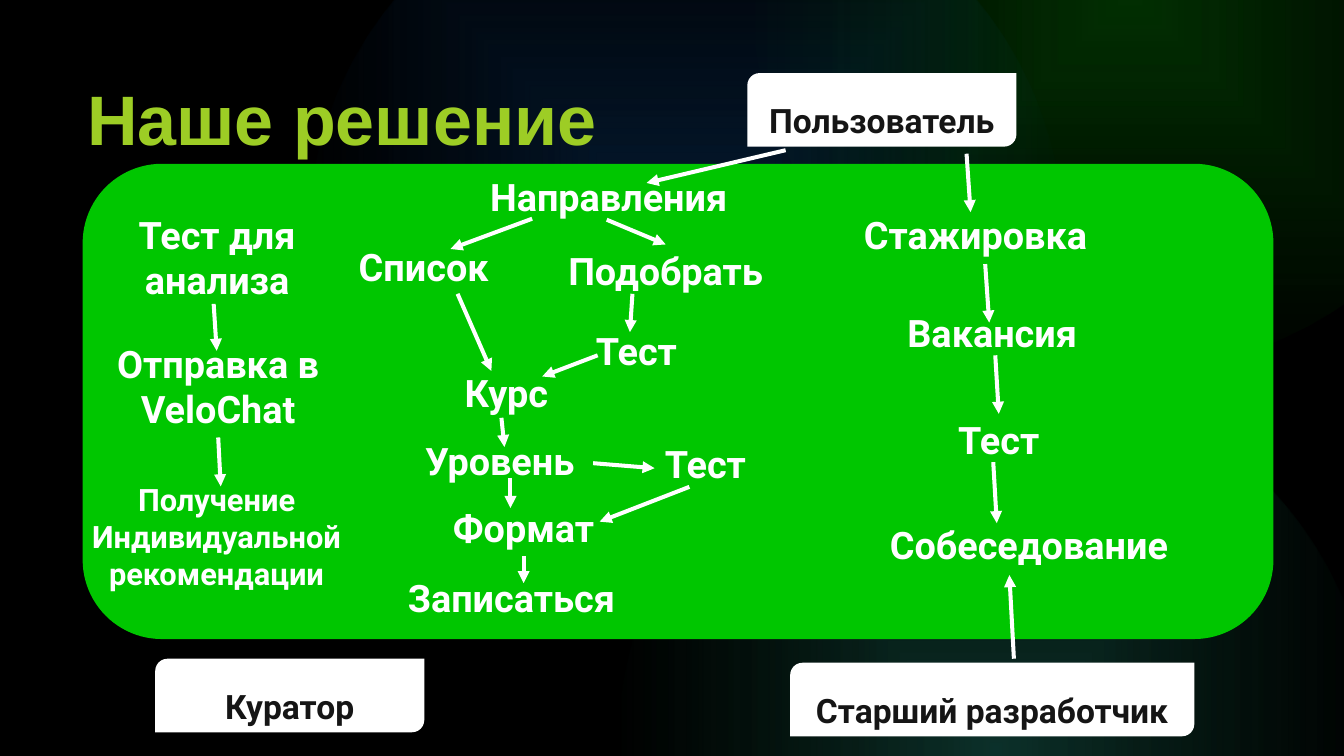
import pptx
import pptx.util
import pptx.dml.color
import pptx.enum.shapes
import pptx.enum.text
import pptx.oxml
import pptx.oxml.ns

Inches, Pt = pptx.util.Inches, pptx.util.Pt
SHAPE = pptx.enum.shapes.MSO_SHAPE
ANCHOR = pptx.enum.text.MSO_ANCHOR
ALIGN = pptx.enum.text.PP_ALIGN
NS = pptx.oxml.ns.nsdecls("a")

# Content
TITLE = "Наше решение"
GLOWS = [  # left, top, inner colour, outer colour
    (14.91, -7.64, "08BC08", "08BC08"),
    (12.25, 7.36, "31C2A7", "209F6D"),
    (6.1, -2.7, "1164C0", "1164C0"),
]
ROLES = [  # text, left, top, width
    ("Пользователь", 14.83, 1.45, 5.34),
    ("Куратор", 3.08, 13.07, 5.34),
    ("Старший разработчик", 15.68, 13.15, 8.02),
]
STEPS = [  # text, centre x, top, width, height, size
    ("Тест для анализа", 4.31, 4.13, 5, 1.93, 54),
    ("Отправка в VeloChat", 4.33, 6.69, 5, 1.93, 54),
    ("Получение\nИндивидуальной\nрекомендации", 4.3, 9.47, 6.79, 2.33, 44),
] + [(text, x, y, w, 1.02, 54) for text, x, y, w in [
    ("Направления", 12.08, 3.38, 5.71),
    ("Список", 8.41, 4.78, 5),
    ("Подобрать", 13.21, 4.85, 5),
    ("Тест", 12.63, 6.45, 5),
    ("Курс", 10.05, 7.27, 5),
    ("Уровень", 9.92, 8.62, 5),
    ("Тест", 14, 8.68, 5),
    ("Формат", 10.39, 9.96, 5),
    ("Записаться", 10.15, 11.34, 5),
    ("Стажировка", 19.36, 4.14, 5),
    ("Вакансия", 19.69, 6.08, 5),
    ("Тест", 19.82, 8.21, 5),
    ("Собеседование", 20.42, 10.3, 6.56),
]]
ARROWS = [  # from x, y, to x, y
    # analysis
    (4.24, 6.03, 4.3, 6.96), (4.33, 8.68, 4.38, 9.65),
    # directions and courses
    (15.59, 2.98, 12.83, 3.63), (10.56, 4.34, 8.94, 4.94),
    (12.04, 4.36, 13.21, 4.85), (9.08, 5.83, 9.75, 7.36),
    (12.55, 5.83, 12.5, 6.59), (11.86, 7.05, 10.76, 7.47),
    (9.95, 8.29, 10.01, 8.87), (11.77, 9.19, 12.99, 9.29),
    (10.13, 9.48, 10.13, 10.08), (13.68, 9.66, 11.9, 10.35),
    (10.39, 11.03, 10.39, 11.57),
    # internship
    (19.18, 3.05, 19.26, 4.21), (19.55, 5.24, 19.63, 6.4),
    (19.75, 7.05, 19.82, 8.21), (19.71, 9.17, 19.78, 10.38),
    (20.12, 13.07, 20.03, 11.41),
]


def rgb(value):
    return pptx.dml.color.RGBColor.from_string(value)


def write(sp, text, size=54, color="FFFFFF", font="Roboto", align=ALIGN.CENTER,
          anchor=ANCHOR.MIDDLE, spacing=1.0):
    tf = sp.text_frame
    tf.word_wrap = True
    tf.auto_size = pptx.enum.text.MSO_AUTO_SIZE.NONE
    tf.vertical_anchor = anchor
    tf.margin_left = tf.margin_right = tf.margin_top = tf.margin_bottom = Inches(0.06)
    for i, line in enumerate(text.split("\n")):
        p = tf.add_paragraph() if i else tf.paragraphs[0]
        p.alignment, p.line_spacing = align, spacing
        p.space_before = Pt(0)
        r = p.add_run()
        r.text = line
        r.font.name, r.font.size, r.font.bold = font, Pt(size), True
        r.font.color.rgb = rgb(color)


def add_block(s, kind, x, y, w, h, color):
    sp = s.shapes.add_shape(kind, Inches(x), Inches(y), Inches(w), Inches(h))
    sp.shadow.inherit = False
    sp.line.fill.background()
    sp.fill.solid()
    sp.fill.fore_color.rgb = rgb(color)
    return sp


def add_glow(s, x, y, inner, outer):
    sp = add_block(s, SHAPE.OVAL, x, y, 15, 15, inner)
    solid = sp._element.spPr.find(pptx.oxml.ns.qn("a:solidFill"))
    gradient = pptx.oxml.parse_xml(
        f'<a:gradFill {NS} rotWithShape="1"><a:gsLst>'
        f'<a:gs pos="0"><a:srgbClr val="{inner}"><a:alpha val="25000"/></a:srgbClr></a:gs>'
        f'<a:gs pos="100000"><a:srgbClr val="{outer}"><a:alpha val="0"/></a:srgbClr></a:gs>'
        '</a:gsLst><a:path path="shape">'
        '<a:fillToRect l="50000" t="50000" r="50000" b="50000"/></a:path></a:gradFill>')
    solid.getparent().replace(solid, gradient)


def add_arrow(s, *ends):
    line = s.shapes.add_connector(pptx.enum.shapes.MSO_CONNECTOR.STRAIGHT,
                                  *(Inches(v) for v in ends))
    line.line.color.rgb = rgb("FFFFFF")
    line.line.width = Pt(5.75)
    line.line._get_or_add_ln().append(
        pptx.oxml.parse_xml(f'<a:tailEnd {NS} type="triangle"/>'))
    line._element.spPr.append(pptx.oxml.parse_xml(f"<a:effectLst {NS}/>"))


def main():
    prs = pptx.Presentation()
    prs.slide_width, prs.slide_height = Inches(26.67), Inches(15)
    s = prs.slides.add_slide(prs.slide_layouts[5])

    # Background
    s.background.fill.solid()
    s.background.fill.fore_color.rgb = rgb("000000")
    for glow in GLOWS:
        add_glow(s, *glow)
    add_block(s, SHAPE.ROUNDED_RECTANGLE, 1.64, 3.25, 23.63, 9.43, "00C600")

    # Title, brought in front of the background
    title = s.shapes.title
    s.shapes._spTree.append(title._element)
    title.left, title.top = Inches(1.67), Inches(0.72)
    title.width, title.height = Inches(10.32), Inches(2.5)
    write(title, TITLE, size=100, color="9DCD25", font="Arial",
          align=ALIGN.LEFT, anchor=ANCHOR.BOTTOM)

    # Roles
    for text, x, y, w in ROLES:
        sp = add_block(s, SHAPE.ROUND_2_DIAG_RECTANGLE, x, y, w, 1.46, "FFFFFF")
        write(sp, text, size=48, color="151515", spacing=1.5)

    # Steps and arrows
    for text, x, y, w, h, size in STEPS:
        sp = s.shapes.add_textbox(Inches(x - w / 2), Inches(y), Inches(w), Inches(h))
        write(sp, text, size=size)
    for arrow in ARROWS:
        add_arrow(s, *arrow)

    prs.save("out.pptx")


if __name__ == "__main__":
    main()
